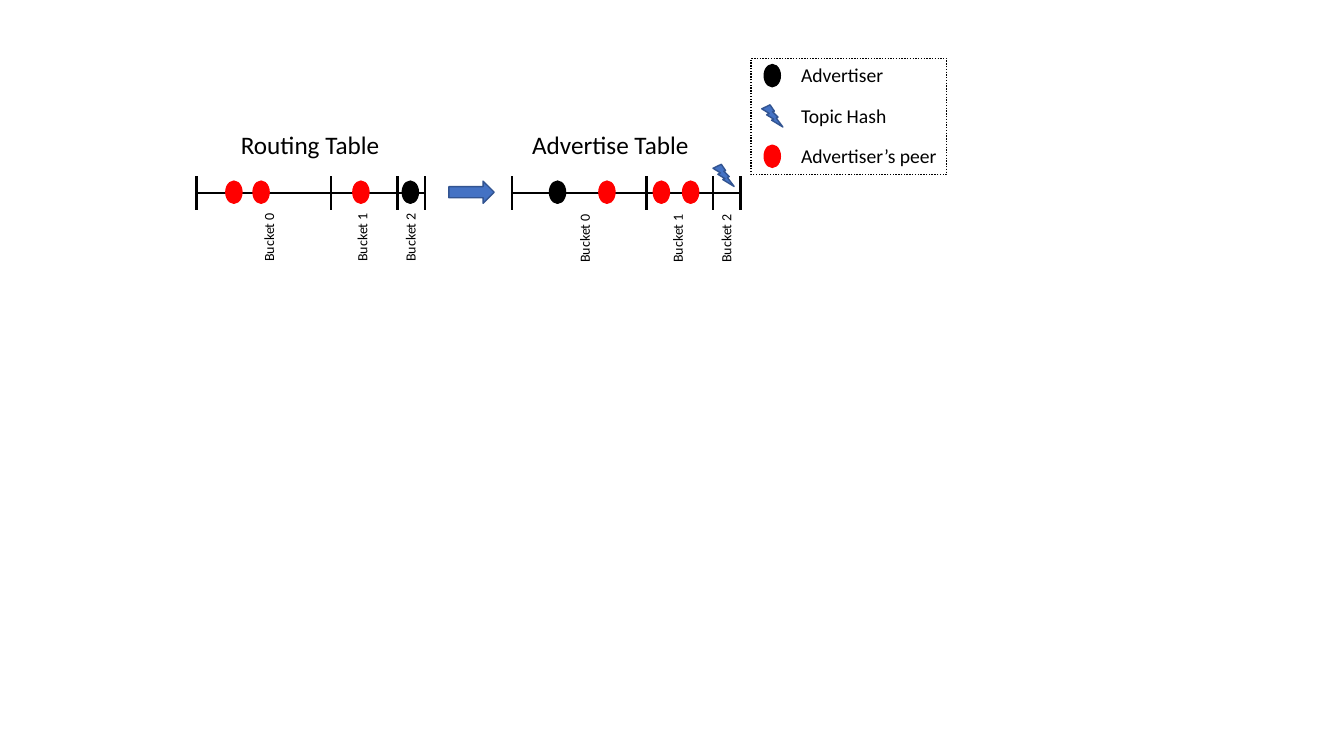
import pptx
import pptx.util
import pptx.dml.color
import pptx.enum.dml
import pptx.enum.shapes
import pptx.enum.text
import pptx.oxml.ns
import lxml.etree

Inches = pptx.util.Inches
RGBColor = pptx.dml.color.RGBColor
Shape = pptx.enum.shapes.MSO_SHAPE

BLACK = RGBColor(0x00, 0x00, 0x00)
RED = RGBColor(0xFF, 0x00, 0x00)
BLUE = RGBColor(0x44, 0x72, 0xC4)
DARK_BLUE = RGBColor(0x32, 0x54, 0x91)
FONT = "Calibri"

# Square grid: 40 columns by 22.5 rows
SLIDE_WIDTH, SLIDE_HEIGHT = Inches(13.33), Inches(7.5)
CELL = SLIDE_HEIGHT / 22.5

AXIS_ROW = 5.75
MARK_ROW = 5.72
TICKS = (0, 4, 5.98, 6.8)
BUCKET_CENTERS = (2.15, 4.92, 6.36)
DOT_SIZE = (0.48, 0.66)
BOLT_SIZE = (0.63, 0.66)
ARROW_SIZE = (1.35, 0.66)


def cells(*counts):
    return [round(count * CELL) for count in counts]


def add_line(page, left, top, right, bottom):
    line = page.shapes.add_connector(
        pptx.enum.shapes.MSO_CONNECTOR.STRAIGHT, *cells(left, top, right, bottom))
    line.line.color.rgb = BLACK
    line.line.width = pptx.util.Pt(1.75)
    properties = line._element.spPr
    lxml.etree.SubElement(properties, pptx.oxml.ns.qn("a:effectLst"))


def add_symbol(page, kind, center, middle, size, fill, outline):
    width, height = size
    symbol = page.shapes.add_shape(
        kind, *cells(center - width / 2, middle - height / 2, width, height))
    symbol.shadow.inherit = False
    symbol.fill.solid()
    symbol.fill.fore_color.rgb = fill
    symbol.line.color.rgb = outline
    symbol.line.width = pptx.util.Pt(1)


def add_dot(page, center, middle, color):
    add_symbol(page, Shape.OVAL, center, middle, DOT_SIZE, color, color)


def add_bolt(page, center, middle):
    add_symbol(page, Shape.LIGHTNING_BOLT, center, middle, BOLT_SIZE, BLUE, DARK_BLUE)


def add_text(page, text, left, middle, width, height, size, rotation=0, wrap=False):
    box = page.shapes.add_textbox(*cells(left, middle - height / 2, width, height))
    box.rotation = rotation
    frame = box.text_frame
    frame.word_wrap = wrap
    frame.auto_size = pptx.enum.text.MSO_AUTO_SIZE.SHAPE_TO_FIT_TEXT
    span = frame.paragraphs[0].add_run()
    span.text = text
    span.font.name = FONT
    span.font.size = pptx.util.Pt(size)
    span.font.color.rgb = BLACK


def add_bucket_table(page, title, start, title_offset, title_width, label_row, dots):
    # Axis with bucket boundaries
    add_line(page, start, AXIS_ROW, start + TICKS[-1], AXIS_ROW)
    for tick in TICKS:
        add_line(page, start + tick, AXIS_ROW - 0.5, start + tick, AXIS_ROW + 0.5)

    # Heading and bucket names
    add_text(page, title, start + title_offset, 4.29, title_width, 1.2, size=18)
    for number, center in enumerate(BUCKET_CENTERS):
        add_text(page, f"Bucket {number}", start + center - 1.05, label_row,
                 2.1, 0.81, size=10, rotation=270, wrap=number > 0)

    # Nodes on the axis
    for offset, color in dots:
        add_dot(page, start + offset, MARK_ROW, color)


def add_legend(page):
    frame = page.shapes.add_shape(Shape.RECTANGLE, *cells(22.35, 1.74, 5.82, 3.45))
    frame.shadow.inherit = False
    frame.fill.background()
    frame.line.color.rgb = BLACK
    frame.line.width = pptx.util.Pt(1)
    frame.line.dash_style = pptx.enum.dml.MSO_LINE.ROUND_DOT

    entries = (("Advertiser", 3.09, BLACK), ("Topic Hash", 3.18, None),
               ("Advertiser’s peer", 4.68, RED))
    for index, (text, width, color) in enumerate(entries):
        row = 2.25 + 1.2 * index
        if color is None:
            add_bolt(page, 22.98, row)
        else:
            add_dot(page, 22.98, row, color)
        add_text(page, text, 23.54, row, width, 1.02, size=14)


def main():
    deck = pptx.Presentation()
    deck.slide_width, deck.slide_height = SLIDE_WIDTH, SLIDE_HEIGHT
    page = deck.slides.add_slide(deck.slide_layouts.get_by_name("Blank"))

    # Routing table becomes advertise table
    add_bucket_table(page, "Routing Table ", 5.85, 1.02, 4.95, 7.03,
                     ((1.11, RED), (1.92, RED), (4.89, RED), (6.36, BLACK)))
    add_symbol(page, Shape.RIGHT_ARROW, 14.03, MARK_ROW, ARROW_SIZE, BLUE, DARK_BLUE)
    add_bucket_table(page, "Advertise Table ", 15.24, 0.3, 5.49, 7.06,
                     ((1.35, BLACK), (2.82, RED), (4.44, RED), (5.31, RED)))
    add_bolt(page, 21.53, 5.22)

    add_legend(page)
    deck.save("out.pptx")


main()
